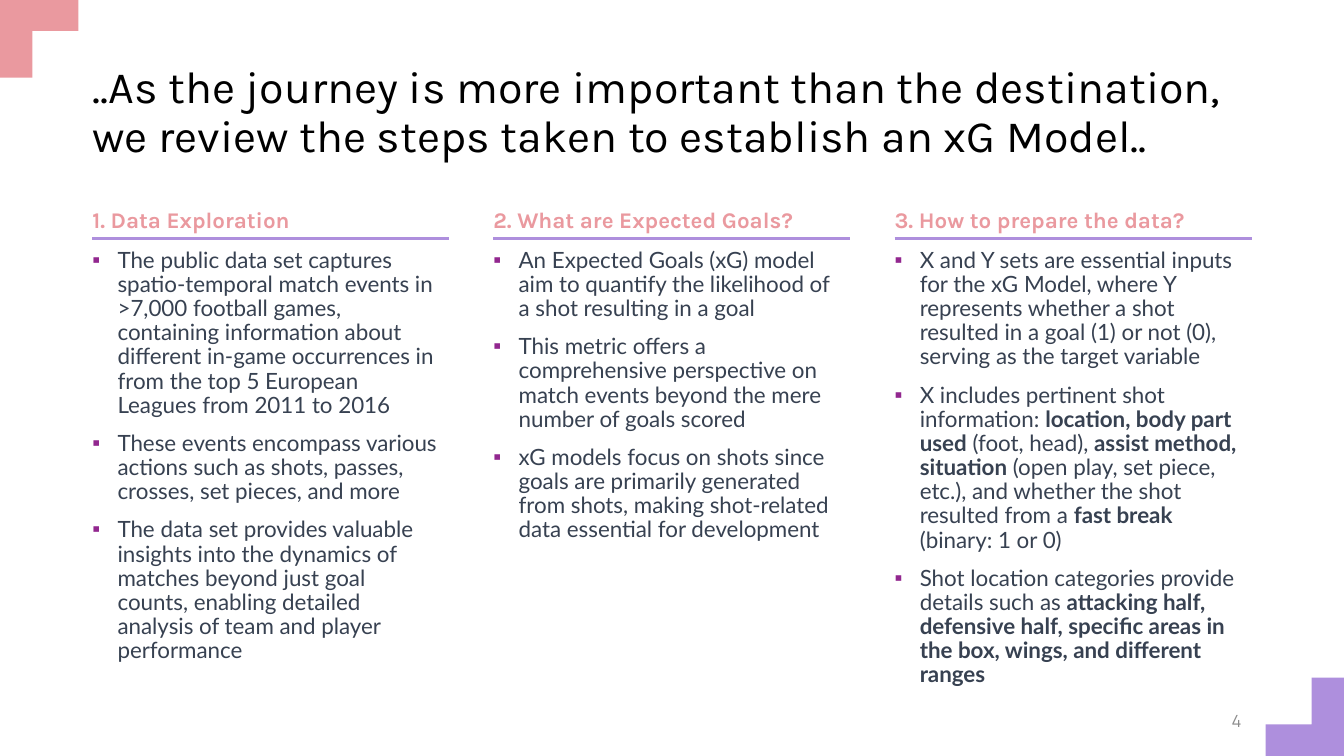
from lxml import etree
from pptx import Presentation
from pptx.dml.color import RGBColor
from pptx.enum import shapes, text
from pptx.oxml import ns
from pptx.util import Pt

PINK, PURPLE, BULLET = "EA999F", "AE8FDD", "92278F"
BLACK, BODY, GREY = "000000", "374151", "8C8C8C"

TITLE = ("..As the journey is more important than the destination, "
         "we review the steps taken to establish an xG Model..")

# Asterisks enclose bold words
COLUMNS = [
    ("1. Data Exploration", [
        "The public data set captures spatio-temporal match events in >7,000 football games, "
        "containing information about different in-game occurrences in from the top 5 European "
        "Leagues from 2011 to 2016",
        "These events encompass various actions such as shots, passes, crosses, set pieces, and more",
        "The data set provides valuable insights into the dynamics of matches beyond just goal "
        "counts, enabling detailed analysis of team and player performance",
    ]),
    ("2. What are Expected Goals?", [
        "An Expected Goals (xG) model aim to quantify the likelihood of a shot resulting in a goal",
        "This metric offers a comprehensive perspective on match events beyond the mere number "
        "of goals scored",
        "xG models focus on shots since goals are primarily generated from shots, making "
        "shot-related data essential for development",
    ]),
    ("3. How to prepare the data?", [
        "X and Y sets are essential inputs for the xG Model, where Y represents whether a shot "
        "resulted in a goal (1) or not (0), serving as the target variable",
        "X includes pertinent shot information: *location, body part used* (foot, head), "
        "*assist method, situation* (open play, set piece, etc.), and whether the shot resulted "
        "from a *fast break* (binary: 1 or 0)",
        "Shot location categories provide details such as *attacking half, defensive half, "
        "specific areas in the box, wings, and different ranges*",
    ]),
]


def color(value):
    return RGBColor.from_string(value)


class SlideBuilder:
    """Holds the style and the current slide; lengths are in points."""

    heading_font, body_font, number_font = "Karla", "Lato", "Manrope"

    def __init__(self, slide):
        self.slide = slide

    def place(self, shape, left, top, width, height):
        shape.left, shape.top = Pt(left), Pt(top)
        shape.width, shape.height = Pt(width), Pt(height)

    def frame(self, shape, anchor, insets):
        frame = shape.text_frame
        frame.word_wrap = True
        frame.auto_size = text.MSO_AUTO_SIZE.NONE
        frame.vertical_anchor = anchor
        (frame.margin_left, frame.margin_top,
         frame.margin_right, frame.margin_bottom) = map(Pt, insets)
        return frame

    def format(self, paragraph, font, size, fill, bold=False, align=text.PP_ALIGN.LEFT):
        paragraph.alignment = align
        paragraph.font.name = font
        paragraph.font.size = Pt(size)
        paragraph.font.bold = bold
        paragraph.font.color.rgb = color(fill)

    def title(self, wording, box):
        shape = self.slide.shapes.title
        self.place(shape, *box)
        frame = self.frame(shape, text.MSO_ANCHOR.MIDDLE, (0, 3, 3, 3))
        frame.text = wording
        paragraph = frame.paragraphs[0]
        paragraph.line_spacing = 0.9
        self.format(paragraph, self.heading_font, 32, BLACK)

    def label(self, wording, box, anchor, insets, **style):
        shape = self.slide.shapes.add_textbox(*map(Pt, box))
        frame = self.frame(shape, anchor, insets)
        frame.text = wording
        self.format(frame.paragraphs[0], **style)

    def bullet(self, paragraph):
        properties = paragraph._p.get_or_add_pPr()
        properties.set("marL", str(Pt(18)))
        properties.set("indent", str(-Pt(18)))
        bullet_color = etree.SubElement(properties, ns.qn("a:buClr"))
        etree.SubElement(bullet_color, ns.qn("a:srgbClr"), val=BULLET)
        etree.SubElement(properties, ns.qn("a:buFont"), typeface="Arial")
        etree.SubElement(properties, ns.qn("a:buChar"), char="▪")

    def bullets(self, shape, items, box):
        self.place(shape, *box)
        frame = self.frame(shape, text.MSO_ANCHOR.TOP, (0, 3.6, 7.2, 3.6))
        for index, item in enumerate(items):
            paragraph = frame.add_paragraph() if index else frame.paragraphs[0]
            self.bullet(paragraph)
            paragraph.line_spacing = 0.9
            paragraph.space_before = Pt(10)
            self.format(paragraph, self.body_font, 16, BODY)
            for part, words in enumerate(item.split("*")):
                if words:
                    run = paragraph.add_run()
                    run.text = words
                    if part % 2:
                        run.font.bold = True

    def rule(self, left, top, width):
        line = self.slide.shapes.add_connector(
            shapes.MSO_CONNECTOR.STRAIGHT, Pt(left), Pt(top), Pt(left + width), Pt(top))
        line.line.color.rgb = color(PURPLE)
        line.line.width = Pt(2.25)
        etree.SubElement(line._element.spPr, ns.qn("a:effectLst"))

    def corner(self, left, top, size, rotation, fill):
        shape = self.slide.shapes.add_shape(
            shapes.MSO_SHAPE.CORNER, Pt(left), Pt(top), Pt(size), Pt(size))
        shape.adjustments[0], shape.adjustments[1] = 0.413, 0.404
        shape.rotation = rotation
        shape.shadow.inherit = False
        shape.fill.solid()
        shape.fill.fore_color.rgb = color(fill)
        shape.line.fill.background()


def main():
    presentation = Presentation()
    presentation.slide_width, presentation.slide_height = Pt(960), Pt(540)
    slide = presentation.slides.add_slide(presentation.slide_layouts.get_by_name("Comparison"))
    builder = SlideBuilder(slide)
    title, *bodies, spare = slide.placeholders
    spare._element.getparent().remove(spare._element)

    # Corner ornaments
    builder.corner(0, -0.5, 56, 90, PINK)
    builder.corner(904, 484, 56, 270, PURPLE)

    # Title and page number
    builder.title(TITLE, (66, 28.8, 828, 104.4))
    builder.label("4", (678, 500.4, 216, 28.8), text.MSO_ANCHOR.MIDDLE, (7.2, 3.6, 7.2, 3.6),
                  font=builder.number_font, size=12, fill=GREY, align=text.PP_ALIGN.RIGHT)

    # Three columns: heading, rule, list
    width, pitch = 255, 286.5
    for index, (body, (heading, items)) in enumerate(zip(bodies, COLUMNS)):
        left = 66 + index * pitch
        builder.label(heading, (left, 144, width, 22.4), text.MSO_ANCHOR.BOTTOM, (0, 0, 6, 0),
                      font=builder.heading_font, size=16, fill=PINK, bold=True)
        builder.rule(left, 170.5, width)
        builder.bullets(body, items, (left, 174.2, width, 312))

    presentation.save("out.pptx")


if __name__ == "__main__":
    main()
